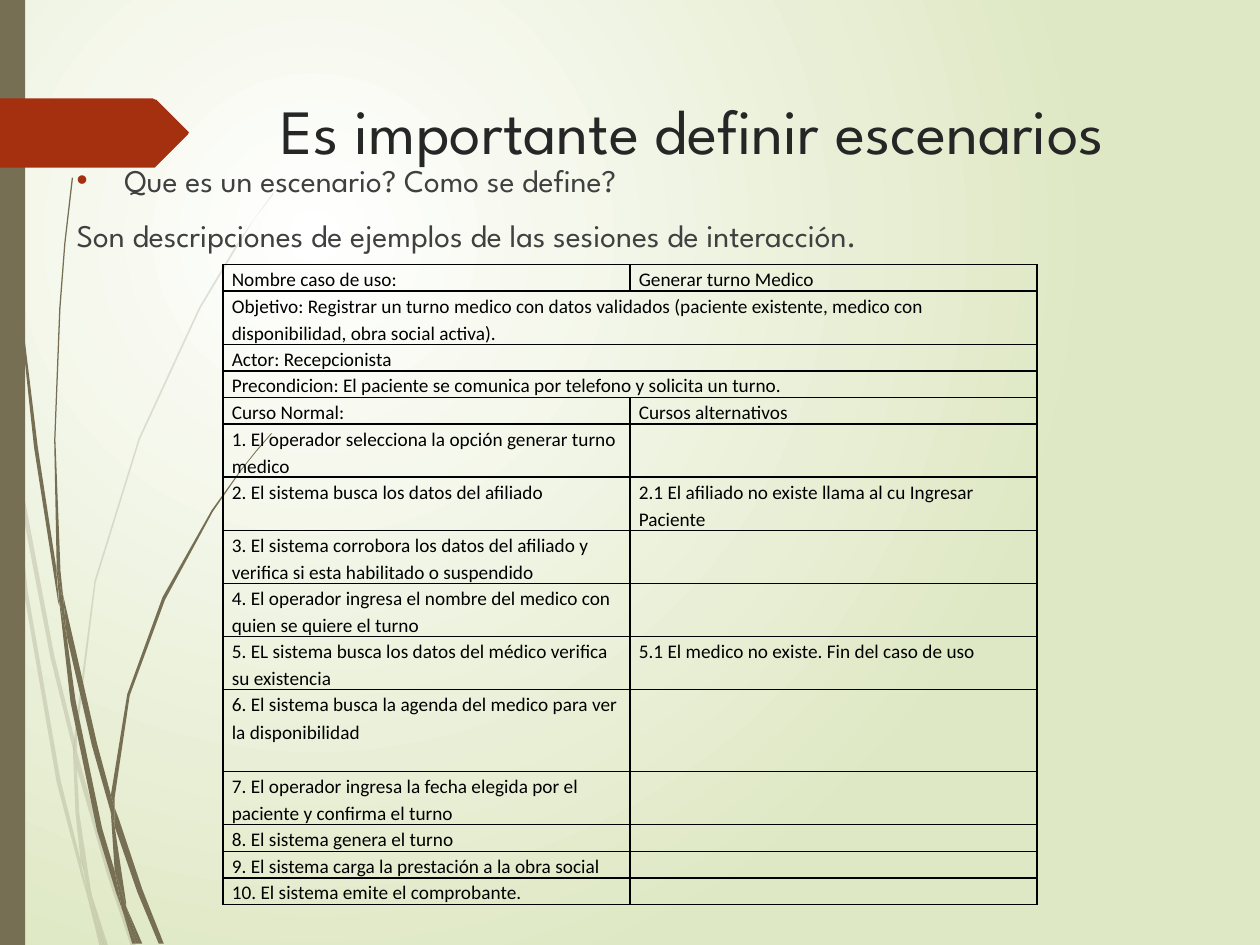
from pptx import Presentation
from pptx import util as u
from pptx.dml.color import RGBColor
from pptx.enum import shapes, text
from pptx.oxml import parse_xml
from pptx.oxml.ns import nsdecls, qn

PX = 9144  # 100 px to the inch
WHITE = RGBColor(0xFF, 0xFF, 0xFF)
SAGE = RGBColor(0xDF, 0xE8, 0xC4)
OLIVE = RGBColor(0x76, 0x6F, 0x54)
RUST = RGBColor(0xA5, 0x30, 0x10)
INK = RGBColor(0x26, 0x26, 0x26)
GREY = RGBColor(0x40, 0x40, 0x40)
BLACK = RGBColor(0, 0, 0)
HEAD = "League Spartan"
BODY = "Calibri"

# Outlines of the grass blades, as x and y in px from the corner of the slide
PALE = [
    "8 350 6 322 0 282 0 299 7 344",
    "40 522 59 599 59 586 43 520 10 345 12 376",
    "64 607 61 596 61 610 85 694 104 751 108 751 88 692",
    "83 751 86 751 73 711",
    "64 683 48 619 22 469 12 376 8 350 19 470 45 621 64 693 70 714 69 707",
    "58 599 60 646 64 683 67 692 73 711 72 706 63 646 61 610 61 608",
    "61 584 76 462 111 349 159 245 187 198 201 175 217 154 217 153 "
    "201 175 186 197 158 244 110 348 75 461 59 584 59 586 61 596",
    "70 714 79 751 82 751",
    "61 608 61 610 61 596 59 586 58 599",
    "67 692 65 683 69 707 70 714 82 751 83 751 73 711",
]
DARK = [
    "5 110 14 233 27 355 46 477 47 481 45 457 45 453 30 355 15 232 "
    "6 109 4 48 3 0 2 0 3 48",
    "73 592 88 645 88 633 88 631 77 590 50 472 53 505",
    "94 649 91 641 91 656 109 708 126 749 130 749 113 706",
    "91 691 81 657 60 556 53 505 47 477 56 557 77 659 92 708 97 722 96 717",
    "50 472 48 453 44 349 48 245 52 193 58 141 57 141 51 193 47 245 "
    "43 349 45 449 49 472",
    "110 749 113 749 100 719",
    "47 477 53 505 50 472 49 472 45 449 45 453",
    "91 633 103 552 131 476 169 406 191 374 203 359 216 344 215 344 "
    "203 358 191 373 168 405 129 474 101 551 88 631 91 641",
    "97 722 105 749 108 749",
    "88 645 91 691 96 706 100 719 100 716 91 656 90 651",
    "88 645 90 651 91 656 91 641 88 631 88 633",
    "96 706 91 691 96 717 97 722 108 749 110 749 100 719",
]
FLAG = ("149 107 124 132 123 133 121 133 0 133 0 78 121 78 123 79 124 79 "
        "149 104 150 105")

ROWS = [
    (21, "Nombre caso de uso:", "Generar turno Medico"),
    (41, "Objetivo: Registrar un turno medico con datos validados (paciente "
         "existente, medico con disponibilidad, obra social activa).", None),
    (21, "Actor: Recepcionista", None),
    (21, "Precondicion: El paciente se comunica por telefono y solicita un "
         "turno.", None),
    (21, "Curso Normal:", "Cursos alternativos"),
    (41, "1. El operador selecciona la opción generar turno medico", ""),
    (41, "2. El sistema busca los datos del afiliado",
         "2.1 El afiliado no existe llama al cu Ingresar Paciente"),
    (41, "3. El sistema corrobora los datos del afiliado y verifica si esta "
         "habilitado o suspendido", ""),
    (41, "4. El operador ingresa el nombre del medico con quien se quiere el "
         "turno", ""),
    (41, "5. EL sistema busca los datos del médico verifica su existencia",
         "5.1 El medico no existe. Fin del caso de uso"),
    (65, "6. El sistema busca la agenda del medico para ver la "
         "disponibilidad", ""),
    (41, "7. El operador ingresa la fecha elegida por el paciente y confirma "
         "el turno", ""),
    (21, "8. El sistema genera el turno", ""),
    (21, "9. El sistema carga la prestación a la obra social", ""),
    (21, "10. El sistema emite el comprobante.", ""),
]


def place(shape, box):
    shape.left, shape.top, shape.width, shape.height = [n * PX for n in box]


def write(para, words, size, font, color, before=0, line=1.0):
    para.alignment = text.PP_ALIGN.LEFT
    para.space_before = u.Pt(before)
    para.line_spacing = line
    if not words:  # an empty cell keeps the row low
        para._p.get_or_add_endParaRPr().set("sz", str(size * 100))
        return
    run = para.add_run()
    run.text = words
    run.font.size = u.Pt(size)
    run.font.name = font
    run.font.color.rgb = color


def paint(shape, color, alpha=None):
    shape.shadow.inherit = False
    shape.fill.solid()
    shape.fill.fore_color.rgb = color
    shape.line.fill.background()
    if alpha:
        tint = shape._element.spPr.find(qn("a:solidFill"))[0]
        tint.append(parse_xml(f'<a:alpha {nsdecls("a")} val="{alpha * 1000}"/>'))


def outline(slide, spots, color, alpha=None):
    nums = [int(n) for n in spots.split()]
    points = list(zip(nums[::2], nums[1::2]))
    pen = slide.shapes.build_freeform(*points[0], scale=PX)
    pen.add_line_segments(points[1:], close=True)
    paint(pen.convert_to_shape(), color, alpha)


def backdrop(slide):
    fill = slide.background.fill
    fill.gradient()
    for stop, color in zip(fill.gradient_stops, (WHITE, SAGE)):
        stop.color.rgb = color
    grad = slide._element.find(".//" + qn("a:gradFill"))
    grad.replace(grad.find(qn("a:lin")), parse_xml(
        f'<a:path {nsdecls("a")} path="circle"><a:fillToRect l="50000" '
        't="50000" r="100000" b="100000"/></a:path>'))


def decor(slide, box):
    for blade in PALE:
        outline(slide, blade, OLIVE, 20)
    for blade in DARK:
        outline(slide, blade, OLIVE)
    bar = slide.shapes.add_shape(shapes.MSO_SHAPE.RECTANGLE, 0, 0, 0, 0)
    place(bar, box)
    paint(bar, OLIVE)
    outline(slide, FLAG, RUST)


def heading(slide, box):
    title = slide.shapes.title
    place(title, box)
    frame = title.text_frame
    frame.vertical_anchor = text.MSO_ANCHOR.TOP
    frame.auto_size = text.MSO_AUTO_SIZE.NONE
    write(frame.paragraphs[0], "Es importante definir escenarios",
          36, HEAD, INK)


def intro(slide, box):
    frame = slide.shapes.add_textbox(*[n * PX for n in box]).text_frame
    frame.word_wrap = True
    first = frame.paragraphs[0]
    write(first, "Que es un escenario? Como se define?", 18, HEAD, GREY, 10)
    props = first._p.get_or_add_pPr()
    props.set("marL", str(38 * PX))
    props.set("indent", str(-38 * PX))
    for part in (f'buClr {nsdecls("a")}><a:srgbClr val="{RUST}"/></a:buClr',
                 f'buFont {nsdecls("a")} typeface="Arial"/',
                 f'buChar {nsdecls("a")} char="•"/'):
        props.append(parse_xml(f"<a:{part}>"))
    write(frame.add_paragraph(),
          "Son descripciones de ejemplos de las sesiones de interacción.",
          18, HEAD, GREY, 10)


def border(cell):
    props = cell._tc.get_or_add_tcPr()
    for spot, side in enumerate("LRTB"):
        props.insert(spot, parse_xml(
            f'<a:ln{side} {nsdecls("a")} w="12700"><a:solidFill><a:srgbClr '
            f'val="{BLACK}"/></a:solidFill></a:ln{side}>'))


def usecase(slide, box):
    grid = slide.shapes.add_table(len(ROWS), 2, *[n * PX for n in box]).table
    grid.first_row = grid.horz_banding = False
    for col in grid.columns:
        col.width = box[2] * PX // 2
    for row, (high, *words) in enumerate(ROWS):
        grid.rows[row].height = high * PX
        for col, entry in enumerate(words):
            cell = grid.cell(row, col)
            cell.margin_left = cell.margin_right = 7 * PX
            cell.margin_top = cell.margin_bottom = 0
            cell.fill.background()
            border(cell)
            write(cell.text_frame.paragraphs[0], entry, 11, BODY, BLACK,
                  line=1.15)
        if words[1] is None:
            grid.cell(row, 0).merge(grid.cell(row, 1))


def main():
    deck = Presentation()
    deck.slide_width, deck.slide_height = 1000 * PX, 750 * PX
    slide = deck.slides.add_slide(deck.slide_layouts[5])
    backdrop(slide)
    decor(slide, (0, 0, 20, 750))
    heading(slide, (213, 68, 721, 140))
    intro(slide, (51, 123, 900, 113))
    usecase(slide, (177, 210, 646, 495))
    deck.save("out.pptx")


if __name__ == "__main__":
    main()
